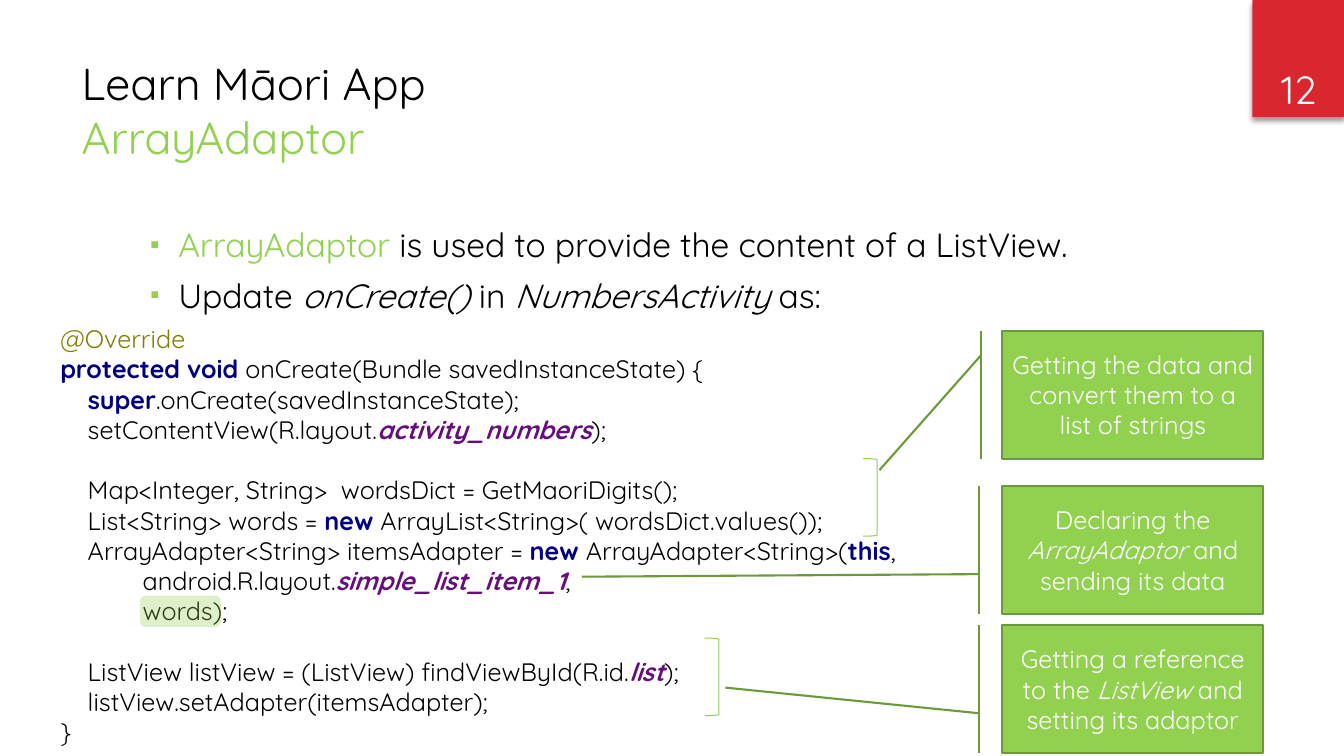
from copy import deepcopy
from dataclasses import dataclass

from lxml.etree import SubElement
from pptx import Presentation
from pptx.dml.color import RGBColor
from pptx.enum.shapes import MSO_SHAPE as Preset
from pptx.enum.text import MSO_ANCHOR as Anchor, MSO_AUTO_SIZE as AutoSize, PP_ALIGN as Align
from pptx.oxml.ns import qn
from pptx.util import Inches, Pt


@dataclass(frozen=True)
class Theme:
    font: str = "Quicksand"
    black: str = "000000"
    white: str = "FFFFFF"
    green: str = "92D050"
    outline: str = "6C9A3B"
    red: str = "DA262F"
    title_size: int = 32
    body_size: int = 24
    number_size: int = 28
    code_size: int = 18


THEME = Theme()

# Each run is (text, style); a style changes only what differs from its box.
STYLES = {
    "plain": {},
    "accent": {"color": THEME.green},
    "italic": {"italic": True},
    "annotation": {"color": "808000"},
    "keyword": {"color": "000080", "bold": True},
    "field": {"color": "660E7A", "bold": True, "italic": True},
}

PAGE_NUMBER = [[("12", "plain")]]
TITLE = [[("Learn Māori App \n", "plain"), ("ArrayAdaptor", "accent")]]
BULLETS = [
    [("ArrayAdaptor ", "accent"),
     ("is used to provide the content of a ListView.", "plain")],
    [("Update ", "plain"), ("onCreate()", "italic"), (" in ", "plain"),
     ("NumbersActivity", "italic"), (" as:", "plain")],
]
CODE = [[
    ("@Override\n", "annotation"),
    ("protected void ", "keyword"),
    ("onCreate(Bundle savedInstanceState) {\n    ", "plain"),
    ("super", "keyword"),
    (".onCreate(savedInstanceState);\n    setContentView(R.layout.", "plain"),
    ("activity_numbers", "field"),
    (");\n\n    Map<Integer, String>  wordsDict = GetMaoriDigits();\n"
     "    List<String> words = ", "plain"),
    ("new ", "keyword"),
    ("ArrayList<String>( wordsDict.values());\n"
     "    ArrayAdapter<String> itemsAdapter = ", "plain"),
    ("new ", "keyword"),
    ("ArrayAdapter<String>(", "plain"),
    ("this", "keyword"),
    (", \n            android.R.layout.", "plain"),
    ("simple_list_item_1", "field"),
    (", \n            words);\n\n"
     "    ListView listView = (ListView) findViewById(R.id.", "plain"),
    ("list", "field"),
    (");\n    listView.setAdapter(itemsAdapter);\n}", "plain"),
]]

# (top, leader as start y, start x, end y, end x in shares of the box, text)
CALLOUTS = [
    (3.28, (0.19, -0.08, 1.09, -0.47),
     [[("Getting the data and convert them to a list of strings", "plain")]]),
    (4.82, (0.69, -0.09, 0.71, -1.61),
     [[("Declaring the ", "plain"), ("ArrayAdaptor", "italic"),
       (" and sending its data", "plain")]]),
    (6.2, (0.69, -0.09, 0.49, -1.06),
     [[("Getting a reference to the ", "plain"), ("ListView", "italic"),
       (" and setting its adaptor", "plain")]]),
]
CALLOUT_LEFT, CALLOUT_WIDTH, CALLOUT_HEIGHT = 9.94, 2.59, 1.27
BRACKETS = [(8.56, 4.55), (6.99, 6.33)]
BRACKET_WIDTH, BRACKET_HEIGHT = 0.14, 0.77


def rgb(color):
    return RGBColor.from_string(color)


def add_bullet(paragraph):
    properties = paragraph._p.get_or_add_pPr()
    properties.set("marL", str(Inches(0.28)))
    properties.set("indent", str(Inches(-0.28)))
    color = SubElement(properties, qn("a:buClr"))
    SubElement(color, qn("a:srgbClr"), val=THEME.green)
    SubElement(properties, qn("a:buSzPct"), val="80000")
    SubElement(properties, qn("a:buFont"), typeface="Arial")
    SubElement(properties, qn("a:buChar"), char="▪")


def write(shape, paragraphs, size, color=THEME.black, align=Align.LEFT,
          anchor=Anchor.TOP, bullet=False, space_before=0):
    """Fill a shape with paragraphs of (text, style) runs; a newline breaks the line."""
    frame = shape.text_frame
    frame.word_wrap = True
    frame.auto_size = AutoSize.NONE
    frame.vertical_anchor = anchor
    for number, runs in enumerate(paragraphs):
        paragraph = frame.add_paragraph() if number else frame.paragraphs[0]
        if bullet:
            add_bullet(paragraph)
        paragraph.alignment = align
        paragraph.line_spacing = 1.0
        paragraph.space_before = Pt(space_before if number else 0)
        for text, style_name in runs:
            style = STYLES[style_name]
            for index, piece in enumerate(text.split("\n")):
                if index:
                    paragraph.add_line_break()
                if not piece:
                    continue
                run = paragraph.add_run()
                run.text = piece
                font = run.font
                font.name, font.size = THEME.font, Pt(size)
                font.bold = style.get("bold", False)
                font.italic = style.get("italic", False)
                font.color.rgb = rgb(style.get("color", color))
        # Blank lines take their height from the format of the line break.
        run_format = paragraph.runs[0]._r.rPr
        for line_break in paragraph._p.findall(qn("a:br")):
            line_break.append(deepcopy(run_format))


def add_box(slide, preset, box, fill=None, line=None, line_width=0.75):
    shape = slide.shapes.add_shape(preset, *map(Inches, box))
    shape.shadow.inherit = False
    if fill:
        shape.fill.solid()
        shape.fill.fore_color.rgb = rgb(fill)
    else:
        shape.fill.background()
    if line:
        shape.line.color.rgb = rgb(line)
        shape.line.width = Pt(line_width)
    else:
        shape.line.fill.background()
    return shape


def add_text(slide, box, paragraphs, size, **options):
    write(slide.shapes.add_textbox(*map(Inches, box)), paragraphs, size, **options)


def add_page_number(slide):
    badge = add_box(slide, Preset.RECTANGLE, (12.42, 0, 0.92, 1.16), fill=THEME.red)
    effects = badge._element.spPr.find(qn("a:effectLst"))
    shadow = SubElement(effects, qn("a:outerShdw"), blurRad=str(Pt(4)), dist=str(Pt(3)),
                        dir="5400000", algn="t", rotWithShape="0")
    color = SubElement(shadow, qn("a:srgbClr"), val=THEME.black)
    SubElement(color, qn("a:alpha"), val="40000")
    write(badge, PAGE_NUMBER, THEME.number_size, color=THEME.white,
          align=Align.CENTER, anchor=Anchor.BOTTOM)


def add_highlight(slide):
    highlight = add_box(slide, Preset.ROUNDED_RECTANGLE, (1.39, 5.91, 0.8, 0.31),
                        fill=THEME.green)
    color = highlight._element.spPr.find(qn("a:solidFill"))[0]
    SubElement(color, qn("a:alpha"), val="30000")


def add_callout(slide, top, leader, paragraphs):
    callout = add_box(slide, Preset.LINE_CALLOUT_1_BORDER_AND_ACCENT_BAR,
                      (CALLOUT_LEFT, top, CALLOUT_WIDTH, CALLOUT_HEIGHT),
                      fill=THEME.green, line=THEME.outline, line_width=1.5)
    for index, share in enumerate(leader):
        callout.adjustments[index] = share
    write(callout, paragraphs, THEME.code_size, color=THEME.white,
          align=Align.CENTER, anchor=Anchor.MIDDLE)


def main():
    presentation = Presentation()
    presentation.slide_width, presentation.slide_height = Inches(13.33), Inches(7.5)
    slide = presentation.slides.add_slide(presentation.slide_layouts[5])

    title = slide.shapes.title
    title.left, title.top = Inches(0.71), Inches(0.5)
    title.width, title.height = Inches(10.29), Inches(1.53)
    write(title, TITLE, THEME.title_size)

    add_page_number(slide)
    add_text(slide, (1.39, 2.17, 10.5, 4.53), BULLETS, THEME.body_size,
             align=Align.JUSTIFY, bullet=True, space_before=7.5)
    add_text(slide, (0.5, 3.16, 8.93, 4.34), CODE, THEME.code_size)
    add_highlight(slide)
    for left, top in BRACKETS:
        add_box(slide, Preset.RIGHT_BRACKET, (left, top, BRACKET_WIDTH, BRACKET_HEIGHT),
                line=THEME.green)
    for top, leader, paragraphs in CALLOUTS:
        add_callout(slide, top, leader, paragraphs)

    presentation.save("out.pptx")


if __name__ == "__main__":
    main()
